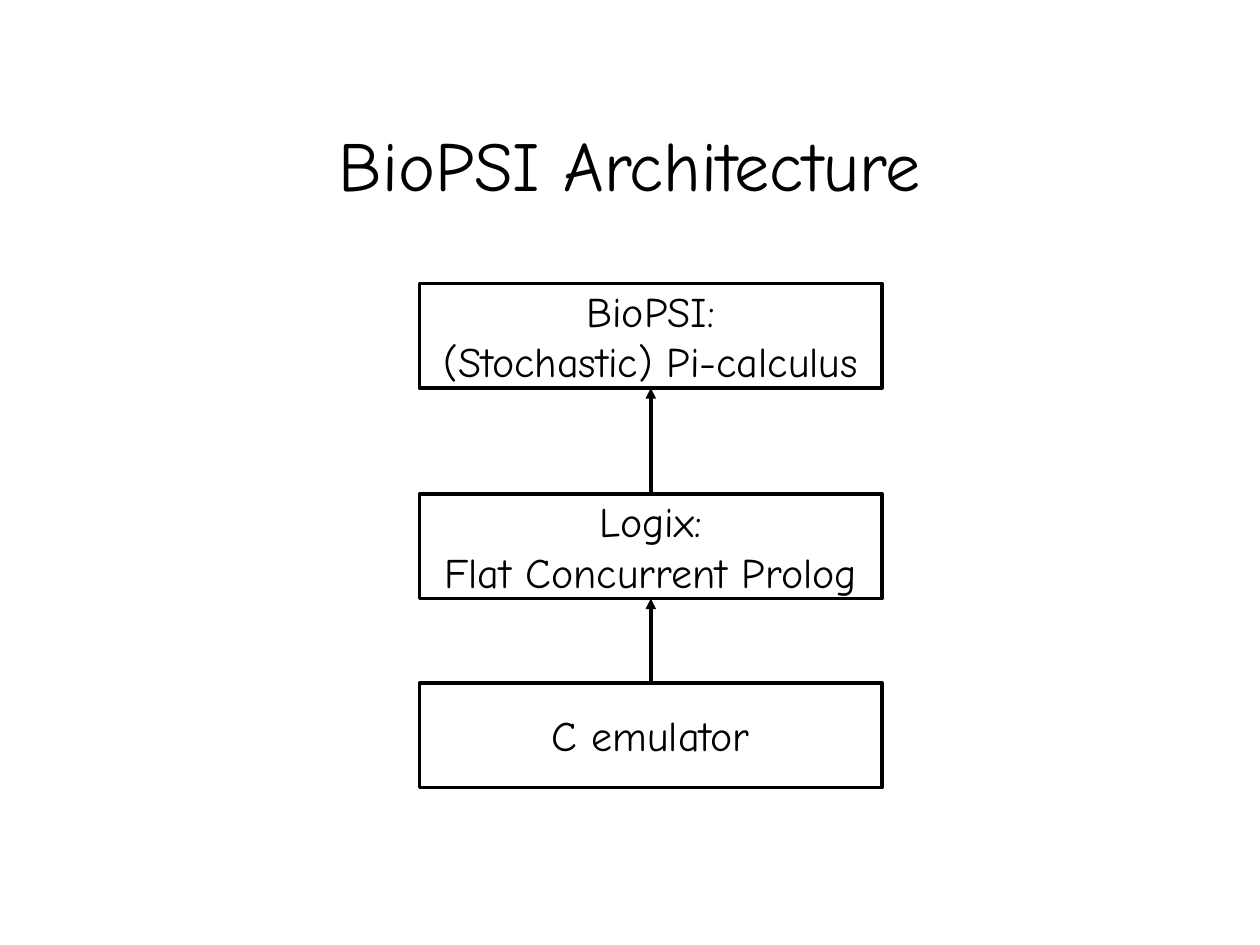
from pptx import Presentation
from pptx.dml.color import RGBColor
from pptx.enum import shapes, text
from pptx.oxml.ns import qn
from pptx.util import Inches, Pt
from lxml import etree

FONT = "Comic Neue"
INK = "000000"
TITLE = "BioPSI Architecture"
LAYERS = [
    ("BioPSI:\v(Stochastic) Pi-calculus", 2.25),
    ("Logix:\vFlat Concurrent Prolog", 3.92),
    ("C emulator", 5.42),
]
LEFT, WIDTH, HEIGHT = 3.33, 3.67, 0.83


def color(value):
    return RGBColor.from_string(value)


def write(shape, words, size, wrap, space=0):
    frame = shape.text_frame
    frame.word_wrap = wrap
    frame.vertical_anchor = text.MSO_ANCHOR.MIDDLE
    para = frame.paragraphs[0]
    para.text = words
    para.alignment = text.PP_ALIGN.CENTER
    para.space_before = Pt(space)
    para.font.name = FONT
    para.font.size = Pt(size)
    para.font.color.rgb = color(INK)


def add_layer(page, words, top):
    box = page.shapes.add_shape(shapes.MSO_SHAPE.RECTANGLE, Inches(LEFT), Inches(top),
                                Inches(WIDTH), Inches(HEIGHT))
    box.shadow.inherit = False
    box.fill.background()
    box.line.color.rgb = color(INK)
    box.line.width = Pt(2)
    write(box, words, 24, False, 15)
    return box


def add_arrow(page, lower, upper):
    arrow = page.shapes.add_connector(shapes.MSO_CONNECTOR.STRAIGHT, 0, 0, 0, 0)
    arrow.begin_connect(lower, 0)
    arrow.end_connect(upper, 2)
    arrow.line.color.rgb = color(INK)
    arrow.line.width = Pt(2)
    etree.SubElement(arrow.line._get_or_add_ln(), qn("a:tailEnd"), type="triangle")
    etree.SubElement(arrow._element.spPr, qn("a:effectLst"))


def main():
    deck = Presentation()
    deck.slide_width, deck.slide_height = Inches(10), Inches(7.5)
    page = deck.slides.add_slide(deck.slide_layouts[6])
    title = page.shapes.add_textbox(Inches(0.75), Inches(0.67), Inches(8.5), Inches(1.25))
    write(title, TITLE, 40, True)
    boxes = [add_layer(page, words, top) for words, top in LAYERS]
    for upper, lower in zip(boxes, boxes[1:]):
        add_arrow(page, lower, upper)
    deck.save("out.pptx")


if __name__ == "__main__":
    main()
